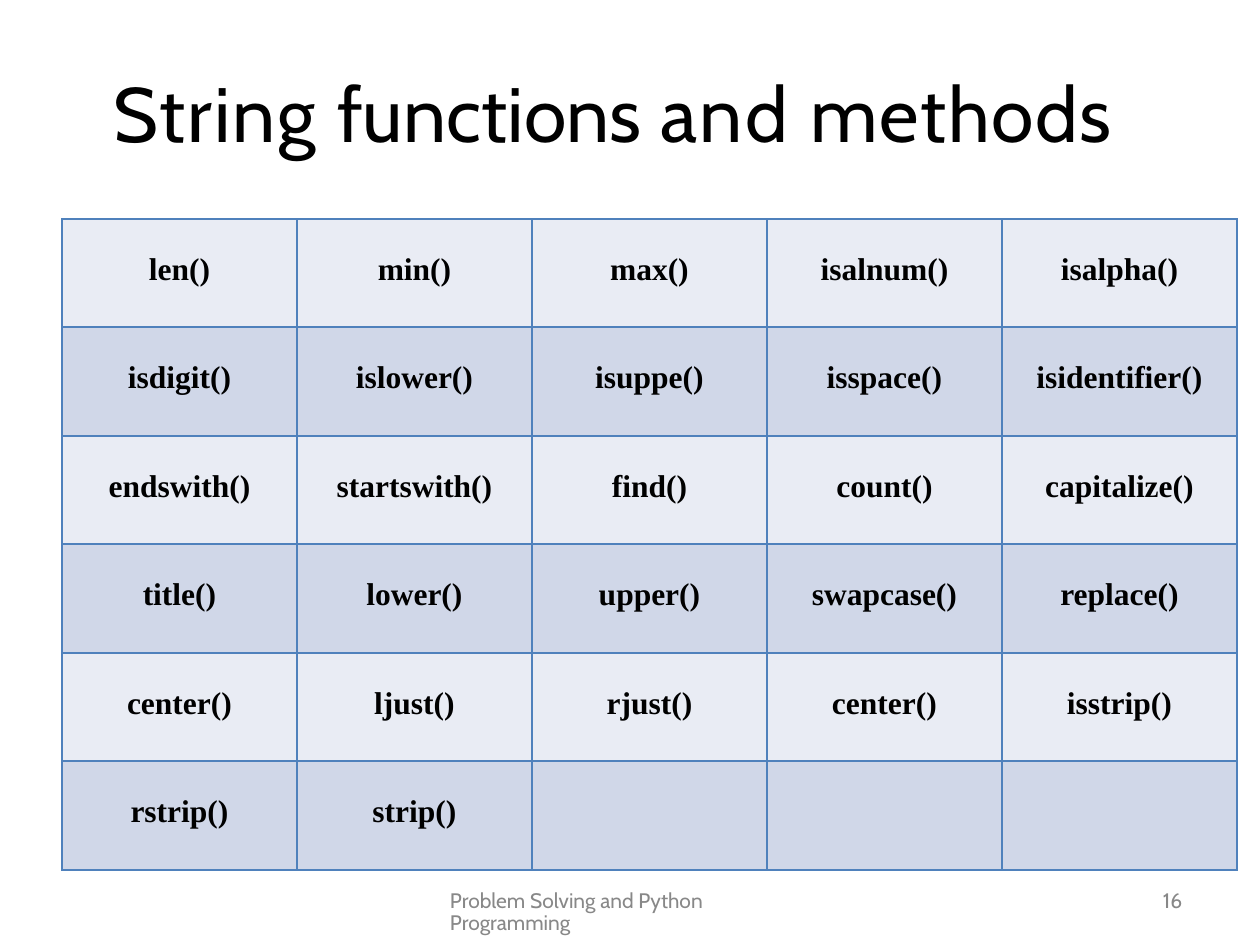
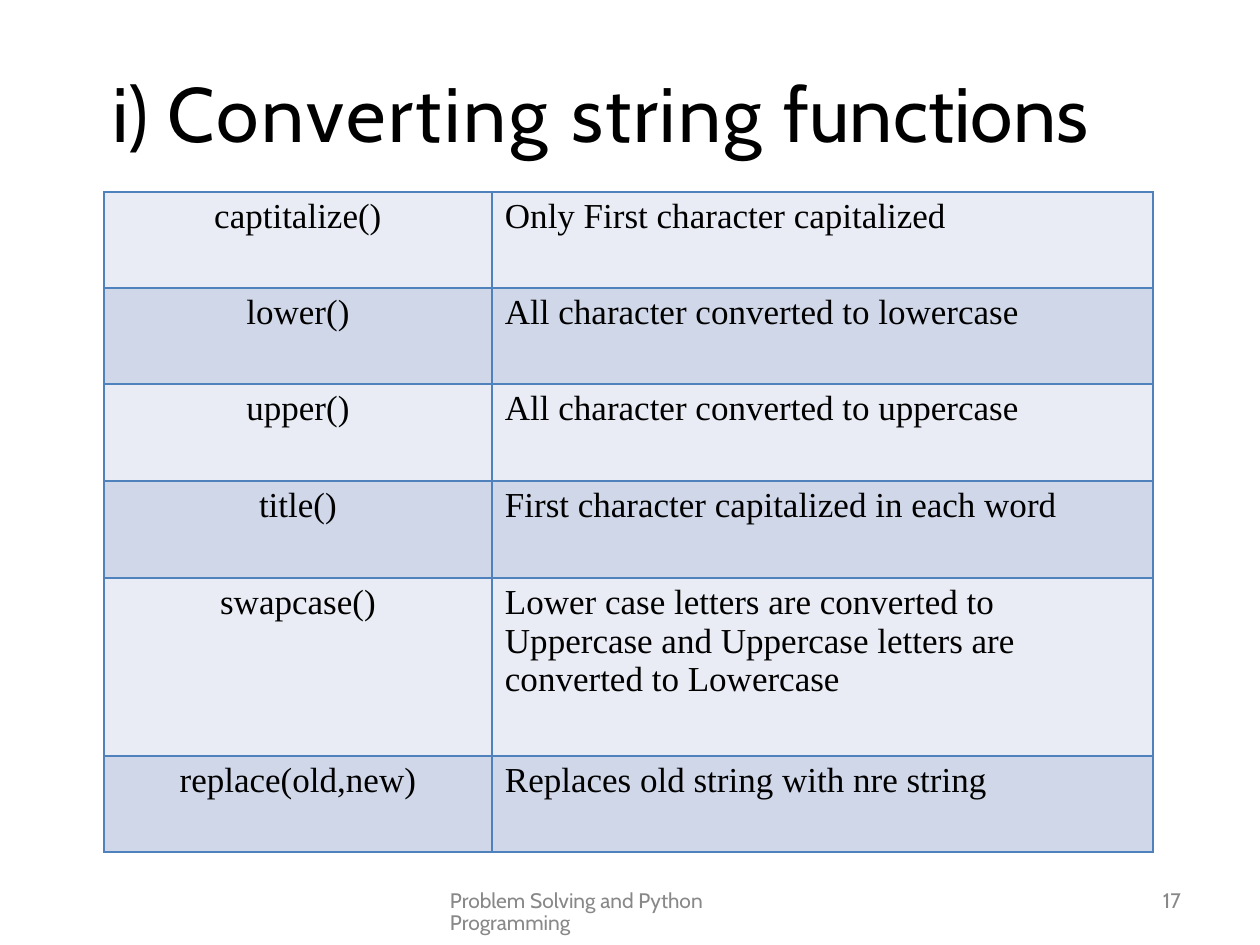
from lxml import etree
from pptx import Presentation
from pptx import util as u
from pptx.dml.color import RGBColor
from pptx.enum import text
from pptx.oxml import ns

PX = 7257  # EMU in one px, at 126 px to the inch
BLACK, GREY, BORDER = "000000", "888888", "4F81BC"
BANDS = ["E9ECF4", "D0D7E8"]
TITLE_FONT = {"name": "Cabin", "size": u.Pt(44)}
FOOTER_FONT = {"name": "Cabin", "size": u.Pt(12)}
FOOTER_LINES = {"line_spacing": u.Pt(12.4)}
CENTRED = {"alignment": text.PP_ALIGN.CENTER}
LEFT = {"alignment": text.PP_ALIGN.LEFT}
SIDES = ["left", "top", "right", "bottom"]


def write(owner, frame, spans, margins, font, colour, layout):
    """Fill a frame with (text, letter spacing in 1/100 pt) spans; owner holds the margins."""
    for side, margin in zip(SIDES, margins):
        setattr(owner, f"margin_{side}", margin * PX)
    frame.word_wrap = True
    para = frame.paragraphs[0]
    for name, value in layout.items():
        setattr(para, name, value)
    for words, spacing in spans:
        span = para.add_run()
        span.text = words
        for name, value in font.items():
            setattr(span.font, name, value)
        span.font.color.rgb = RGBColor.from_string(colour)
        if spacing:
            span.font._element.set("spc", str(spacing))


def add_label(page, place, spans, margins, font, colour, layout):
    box = page.shapes.add_textbox(*[length * PX for length in place])
    frame = box.text_frame
    write(frame, frame, spans, margins, font, colour, layout)
    frame.auto_size = text.MSO_AUTO_SIZE.SHAPE_TO_FIT_TEXT


pages = [
    {
        "number": "16",
        "title": [("String ", 110), ("functions ", 10), ("and ", 150), ("methods", 90)],
        "title_place": (113, 65, 1033, 96),
        "corner": (62, 219),
        "columns": [235] * 5,
        "heights": [108, 109] * 3,
        "font": {"name": "Times New Roman", "size": u.Pt(18), "bold": True},
        "layouts": [CENTRED] * 5,
        "margins": [(0, 33, 0, 0)] * 5,
        "rows": [
            ["len()", "min()", "max()", "isalnum()", "isalpha()"],
            ["isdigit()", "islower()", "isuppe()", "isspace()", "isidentifier()"],
            ["endswith()", "startswith()", "find()", "count()", "capitalize()"],
            ["title()", "lower()", "upper()", "swapcase()", "replace()"],
            ["center()", "ljust()", "rjust()", "center()", "isstrip()"],
            ["rstrip()", "strip()", "", "", ""],
        ],
    },
    {
        "number": "17",
        "title": [("i) ", 30), ("Converting ", 160), ("string ", 120), ("functions", 10)],
        "title_place": (111, 65, 1041, 96),
        "corner": (104, 192),
        "columns": [388, 661],
        "heights": [96, 96, 97, 97, 178, 96],
        "font": {"name": "Times New Roman", "size": u.Pt(20)},
        "layouts": [CENTRED, LEFT],
        "margins": [(0, 5, 0, 0), (13, 5, 12, 0)],
        "rows": [
            ["captitalize()", "Only First character capitalized"],
            ["lower()", "All character converted to lowercase"],
            ["upper()", "All character converted to uppercase"],
            ["title()", "First character capitalized in each word"],
            ["swapcase()", "Lower case letters are converted to Uppercase "
                           "and Uppercase letters are converted to Lowercase"],
            ["replace(old,new)", "Replaces old string with nre string"],
        ],
    },
]

deck = Presentation()
deck.slide_width, deck.slide_height = u.Inches(10), u.Inches(7.5)

for content in pages:
    page = deck.slides.add_slide(deck.slide_layouts[6])
    add_label(page, content["title_place"], content["title"], (1, 1, 0, 0),
              TITLE_FONT, BLACK, {})
    add_label(page, (449, 891, 363, 24), [("Problem Solving and Python Programming", 0)],
              (1, 0, 0, 0), FOOTER_FONT, GREY, FOOTER_LINES)
    add_label(page, (1158, 891, 32, 24), [(content["number"], 0)],
              (5, 0, 0, 0), FOOTER_FONT, GREY, FOOTER_LINES)

    rows, columns, heights = content["rows"], content["columns"], content["heights"]
    place = [*content["corner"], sum(columns), sum(heights)]
    table = page.shapes.add_table(len(rows), len(columns),
                                  *[length * PX for length in place]).table
    table.first_row = table.horz_banding = False
    for column, width in zip(table.columns, columns):
        column.width = width * PX
    for row, height in zip(table.rows, heights):
        row.height = height * PX

    for r, row in enumerate(rows):
        for c, words in enumerate(row):
            cell = table.cell(r, c)
            properties = cell._tc.get_or_add_tcPr()
            for side in "LRTB":
                line = etree.SubElement(properties, ns.qn(f"a:ln{side}"), w=str(u.Pt(1)))
                fill = etree.SubElement(line, ns.qn("a:solidFill"))
                etree.SubElement(fill, ns.qn("a:srgbClr"), val=BORDER)
            cell.fill.solid()
            cell.fill.fore_color.rgb = RGBColor.from_string(BANDS[r % 2])
            if words:
                write(cell, cell.text_frame, [(words, 0)], content["margins"][c],
                      content["font"], BLACK, content["layouts"][c])

deck.save("out.pptx")
